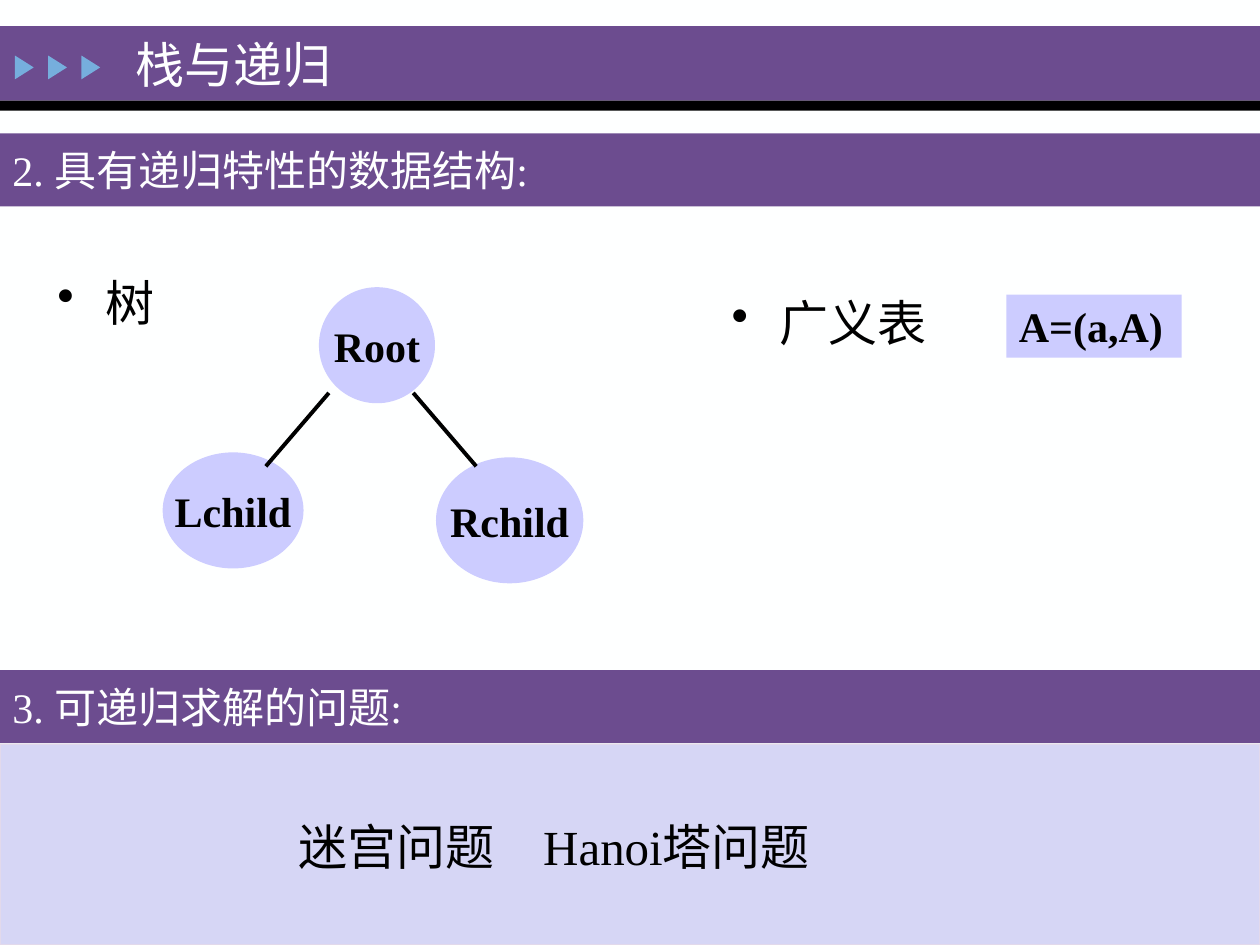
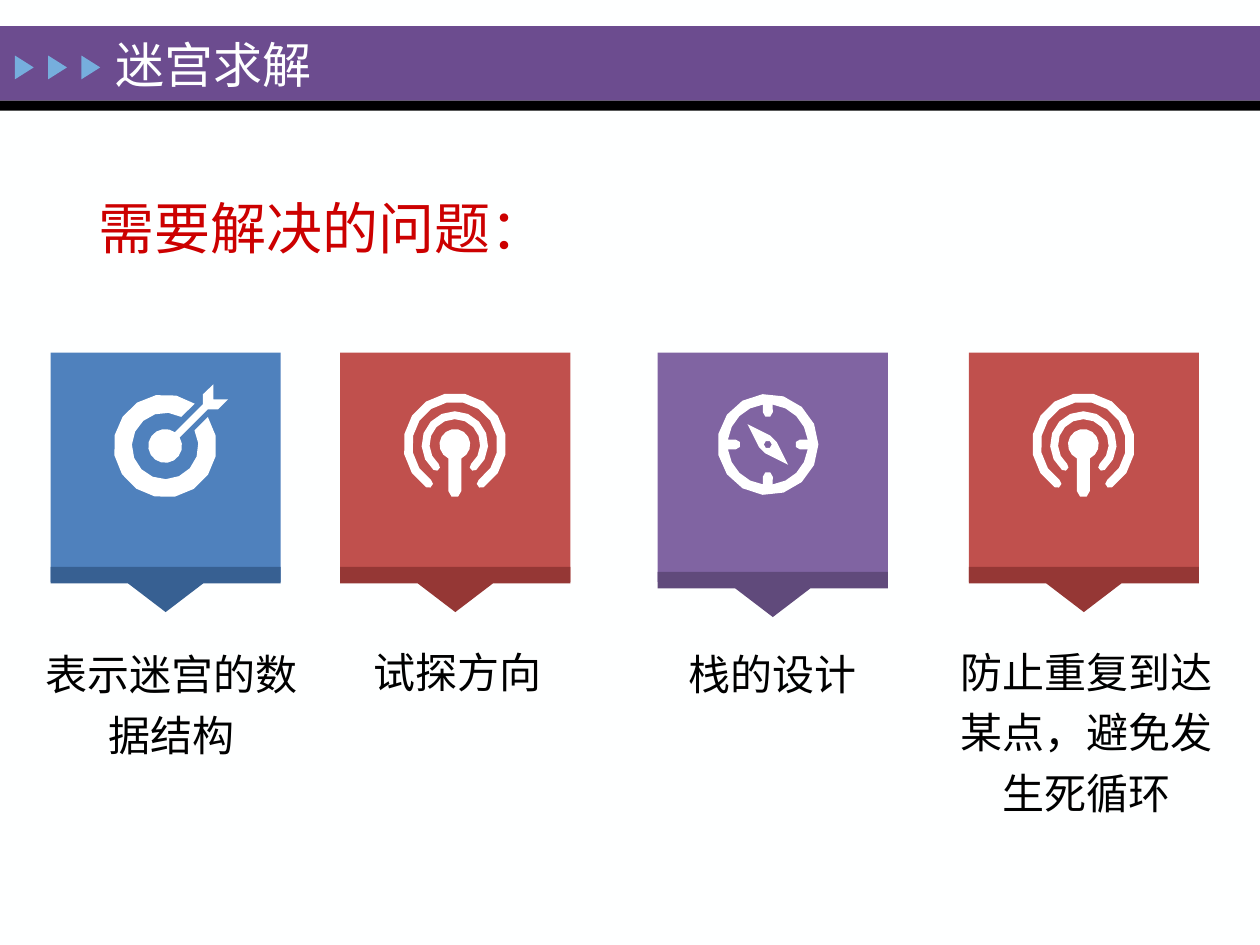
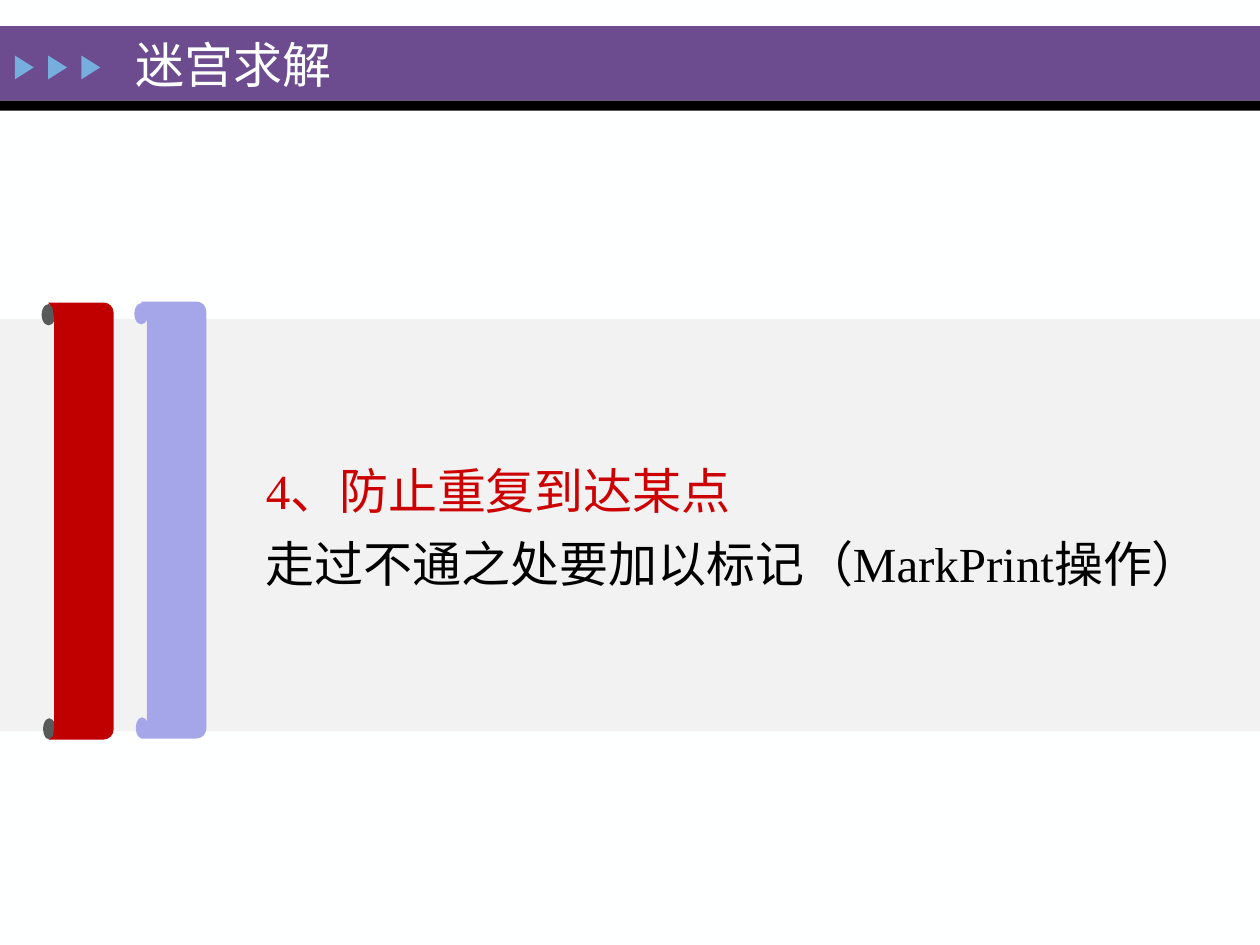
from math import ceil, cos, radians, sin

from lxml.etree import SubElement
from pptx import Presentation
from pptx.dml.color import RGBColor
from pptx.enum.shapes import MSO_CONNECTOR, MSO_SHAPE
from pptx.enum.text import MSO_ANCHOR, PP_ALIGN
from pptx.oxml.ns import qn
from pptx.util import Cm, Pt

FONT = "Times New Roman"
PAGE_WIDTH = 25.4
WHITE = "FEFFFF"
ICON_WHITE = "FFFFFF"
BLACK = "000000"
PURPLE = "6C4C8F"
SKY = "76AEDD"
LILAC = "CCCCFF"
RED = "CC0000"
CARD_WIDTH = 4.64
CARD_HEIGHT = 4.62
CARD_TOP = 7.11


def rgb(value):
    return RGBColor.from_string(value)


def paint(shape, fill, line=None):
    shape.shadow.inherit = False
    shape.fill.solid()
    shape.fill.fore_color.rgb = rgb(fill)
    if line:
        shape.line.color.rgb = rgb(line)
        shape.line.width = Pt(0.75)
    else:
        shape.line.fill.background()
    return shape


def add_block(page, kind, left, top, width, height, fill, line=None):
    shape = page.shapes.add_shape(kind, Cm(left), Cm(top), Cm(width), Cm(height))
    return paint(shape, fill, line)


def add_outline(page, left, top, contours, fill):
    contours = [[(Cm(x), Cm(y)) for x, y in contour] for contour in contours]
    builder = page.shapes.build_freeform(*contours[0][0])
    builder.add_line_segments(contours[0][1:])
    for contour in contours[1:]:
        builder.move_to(*contour[0])
        builder.add_line_segments(contour[1:])
    return paint(builder.convert_to_shape(Cm(left), Cm(top)), fill)


def add_line(page, start, end):
    points = [Cm(value) for value in (*start, *end)]
    line = page.shapes.add_connector(MSO_CONNECTOR.STRAIGHT, *points)
    line.line.color.rgb = rgb(BLACK)
    line.line.width = Pt(2.25)
    SubElement(line._element.spPr, qn("a:effectLst"))


def add_text_shadow(span):
    effects = SubElement(span._r.get_or_add_rPr(), qn("a:effectLst"))
    shadow = SubElement(effects, qn("a:outerShdw"), blurRad="38100",
                        dist="38100", dir="2700000", algn="tl")
    SubElement(shadow, qn("a:srgbClr"), val="C0C0C0")


def write(shape, lines, size, anchor=MSO_ANCHOR.TOP, align=PP_ALIGN.LEFT, bold=False,
          spacing=None, margin=0, hanging=0, bullet=None, shadow=False, wrap=True):
    frame = shape.text_frame
    frame.word_wrap = wrap
    frame.vertical_anchor = anchor
    for index, (text, color) in enumerate(lines):
        para = frame.add_paragraph() if index else frame.paragraphs[0]
        span = para.add_run()
        span.text = text
        para.alignment = align
        if spacing:
            para.line_spacing = spacing
        settings = para._p.get_or_add_pPr()
        if margin:
            settings.set("marL", str(Cm(margin)))
            settings.set("indent", str(-Cm(hanging)))
        if bullet:
            SubElement(settings, qn("a:buChar"), char=bullet)
        para.font.name = FONT
        para.font.size = Pt(size)
        para.font.bold = bold
        para.font.color.rgb = rgb(color)
        if shadow:
            add_text_shadow(span)


def add_text(page, left, top, width, height, lines, size, inset=True, **options):
    box = page.shapes.add_textbox(Cm(left), Cm(top), Cm(width), Cm(height))
    if not inset:
        frame = box.text_frame
        frame.margin_left = frame.margin_right = 0
        frame.margin_top = frame.margin_bottom = 0
    write(box, lines, size, **options)


def arc(center_x, center_y, radius, start, end):
    step_angle = 60 if radius < 0.2 else 24
    steps = ceil(abs(end - start) / step_angle)
    angles = [radians(start + (end - start) * step / steps) for step in range(steps + 1)]
    return [(center_x + radius * cos(angle), center_y + radius * sin(angle))
            for angle in angles]


def rounded_band(inner, outer, start, end):
    middle, cap = (inner + outer) / 2, (outer - inner) / 2
    first, last = radians(start), radians(end)
    return (arc(0, 0, outer, start, end)
            + arc(middle * cos(last), middle * sin(last), cap, end, end + 180)
            + arc(0, 0, inner, end, start)
            + arc(middle * cos(first), middle * sin(first), cap, start + 180, start + 360))


def target_icon():
    ring = arc(0, 0, 1.04, -34, 305) + arc(0, 0, 0.67, 299, -28)
    arrow = [(0.2, -0.28), (0.76, -0.84), (0.76, -1.04), (0.97, -1.24), (0.97, -0.94),
             (1.27, -0.94), (1.07, -0.74), (0.86, -0.74), (0.3, -0.18)]
    return [ring, arc(0, 0, 0.34, -31, 306) + arrow]


def antenna_icon():
    mast = arc(0, 0, 0.31, 115, 425) + arc(0, 0.94, 0.13, 0, 180)
    return [rounded_band(0.86, 1.04, 124, 416), rounded_band(0.51, 0.67, 130, 410), mast]


def compass_icon():
    dial = []
    for side in (0, 90, 180, 270):
        mark = radians(side + 90)
        dial += arc(0, 0, 0.81, side + 7, side + 83)
        dial += arc(0.65 * cos(mark), 0.65 * sin(mark), 0.1, side, side - 180)
    needle = [(-0.41, -0.41), (0.05, -0.18), (0.18, -0.05),
              (0.41, 0.41), (-0.05, 0.18), (-0.18, 0.05)]
    return [arc(0, 0, 1.02, 0, 360), dial, needle, arc(0, 0, 0.08, 0, 360)]


def add_page(deck, title, title_left):
    page = deck.slides.add_slide(deck.slide_layouts[6])
    page.background.fill.solid()
    page.background.fill.fore_color.rgb = rgb(WHITE)
    add_block(page, MSO_SHAPE.RECTANGLE, 0, 0.53, PAGE_WIDTH, 1.5, PURPLE)
    add_block(page, MSO_SHAPE.RECTANGLE, 0, 2.03, PAGE_WIDTH, 0.2, BLACK)
    for index in range(3):
        marker = add_block(page, MSO_SHAPE.ISOSCELES_TRIANGLE,
                           0.25 + 0.67 * index, 1.17, 0.48, 0.38, SKY)
        marker.rotation = 90
    add_text(page, title_left, 0.58, 7.6, 1.42, [(title, WHITE)], 28,
             anchor=MSO_ANCHOR.MIDDLE)
    return page


def add_section_band(page, top, text):
    band = add_block(page, MSO_SHAPE.RECTANGLE, 0, top, PAGE_WIDTH, 1.47, PURPLE)
    write(band, [(text, WHITE)], 24, anchor=MSO_ANCHOR.MIDDLE, margin=0.97, hanging=0.97)


def add_bullet(page, left, top, width, text):
    add_text(page, left, top, width, 1.6, [(text, BLACK)], 28,
             margin=0.97, hanging=0.97, bullet="•")


def add_tree(page, left, top):
    nodes = [("Root", 3.15, 0, 2.34, 2.34),
             ("Lchild", 0, 3.33, 2.84, 2.34),
             ("Rchild", 5.51, 3.43, 2.97, 2.54)]
    for name, x, y, width, height in nodes:
        node = add_block(page, MSO_SHAPE.OVAL, left + x, top + y, width, height, LILAC)
        write(node, [(name, BLACK)], 24, anchor=MSO_ANCHOR.MIDDLE,
              align=PP_ALIGN.CENTER, bold=True, wrap=False)
    for start, end in ((3.35, 2.08), (5.05, 6.32)):
        add_line(page, (left + start, top + 2.13), (left + end, top + 3.61))


def add_card(page, left, fill, edge, icon, icon_x, icon_y, tail_top, label, label_x, label_y):
    add_block(page, MSO_SHAPE.RECTANGLE, left, CARD_TOP, CARD_WIDTH, CARD_HEIGHT, fill)
    tail = [(0, 0), (CARD_WIDTH, 0), (CARD_WIDTH, 0.33), (3.08, 0.33),
            (2.32, 0.91), (1.56, 0.33), (0, 0.33)]
    add_outline(page, left, CARD_TOP + tail_top, [tail], edge)
    add_text(page, left + label_x, CARD_TOP + label_y, 5.23, 1.3, [(label, BLACK)], 24,
             inset=False, align=PP_ALIGN.CENTER, spacing=1.2)
    add_outline(page, left + icon_x, CARD_TOP + icon_y, icon, ICON_WHITE)


def add_scroll(page, left, top, paper, roll):
    add_block(page, MSO_SHAPE.OVAL, left, top + 0.03, 0.28, 0.43, roll)
    add_block(page, MSO_SHAPE.OVAL, left + 0.03, top + 8.38, 0.25, 0.43, roll)
    outline = ([(0.13, 0)] + arc(1.25, 0.2, 0.2, -90, 0) + arc(1.25, 8.61, 0.2, 0, 90)
               + [(0.15, 8.81), (0.23, 8.74), (0.25, 8.6), (0.25, 0.3), (0.22, 0.1)])
    add_outline(page, left, top, [outline], paper)


def build_structures(deck):
    page = add_page(deck, "栈与递归", 2.49)
    add_section_band(page, 2.69, "2. 具有递归特性的数据结构:")
    add_bullet(page, 0.91, 5.36, 3.2, "树")
    add_tree(page, 3.28, 5.79)
    add_bullet(page, 14.5, 5.77, 5.08, "广义表")
    formula = add_block(page, MSO_SHAPE.RECTANGLE, 20.29, 5.94, 3.53, 1.27, LILAC)
    write(formula, [("A=(a,A)", BLACK)], 24, bold=True)
    add_block(page, MSO_SHAPE.RECTANGLE, 0, 15.01, PAGE_WIDTH, 4.04, "D6D6F5", "E2D9EB")
    add_section_band(page, 13.51, "3. 可递归求解的问题:")
    add_text(page, 4.78, 16.33, 12.55, 1.75, [("迷宫问题　Hanoi塔问题", BLACK)], 28,
             margin=0.99)


def build_questions(deck):
    page = add_page(deck, "迷宫求解", 2.08)
    add_text(page, 1.73, 3.76, 21.97, 1.63, [("需要解决的问题：", RED)], 32,
             anchor=MSO_ANCHOR.MIDDLE, shadow=True)
    blue, red, purple = ("4F81BD", "376092"), ("C0504D", "953735"), ("8064A2", "604A7B")
    target = (target_icon(), 2.31, 1.88)
    antenna = (antenna_icon(), 2.31, 1.85)
    compass = (compass_icon(), 2.22, 1.85)
    cards = [(1.02, blue, target, 4.32, "表示迷宫的数据结构", -0.18, 5.77),
             (6.86, red, antenna, 4.32, "试探方向", -0.25, 5.72),
             (13.26, purple, compass, 4.42, "栈的设计", -0.3, 5.77),
             (19.53, red, antenna, 4.32, "防止重复到达某点，避免发生死循环", -0.25, 5.72)]
    for left, colors, icon, *rest in cards:
        add_card(page, left, *colors, *icon, *rest)


def build_marking(deck):
    page = add_page(deck, "迷宫求解", 2.49)
    add_block(page, MSO_SHAPE.RECTANGLE, 0, 6.43, PAGE_WIDTH, 8.31, "F2F2F2")
    add_text(page, 5.11, 8.86, 20.19, 3.25,
             [("4、防止重复到达某点", RED), ("走过不通之处要加以标记（MarkPrint操作）", BLACK)],
             28, spacing=1.25, shadow=True)
    add_scroll(page, 0.84, 6.1, "C00000", "595959")
    add_scroll(page, 2.71, 6.08, "A5A5E9", "A5A5E9")


def main():
    deck = Presentation()
    deck.slide_width = Cm(PAGE_WIDTH)
    deck.slide_height = Cm(19.05)
    build_structures(deck)
    build_questions(deck)
    build_marking(deck)
    deck.save("out.pptx")


if __name__ == "__main__":
    main()
